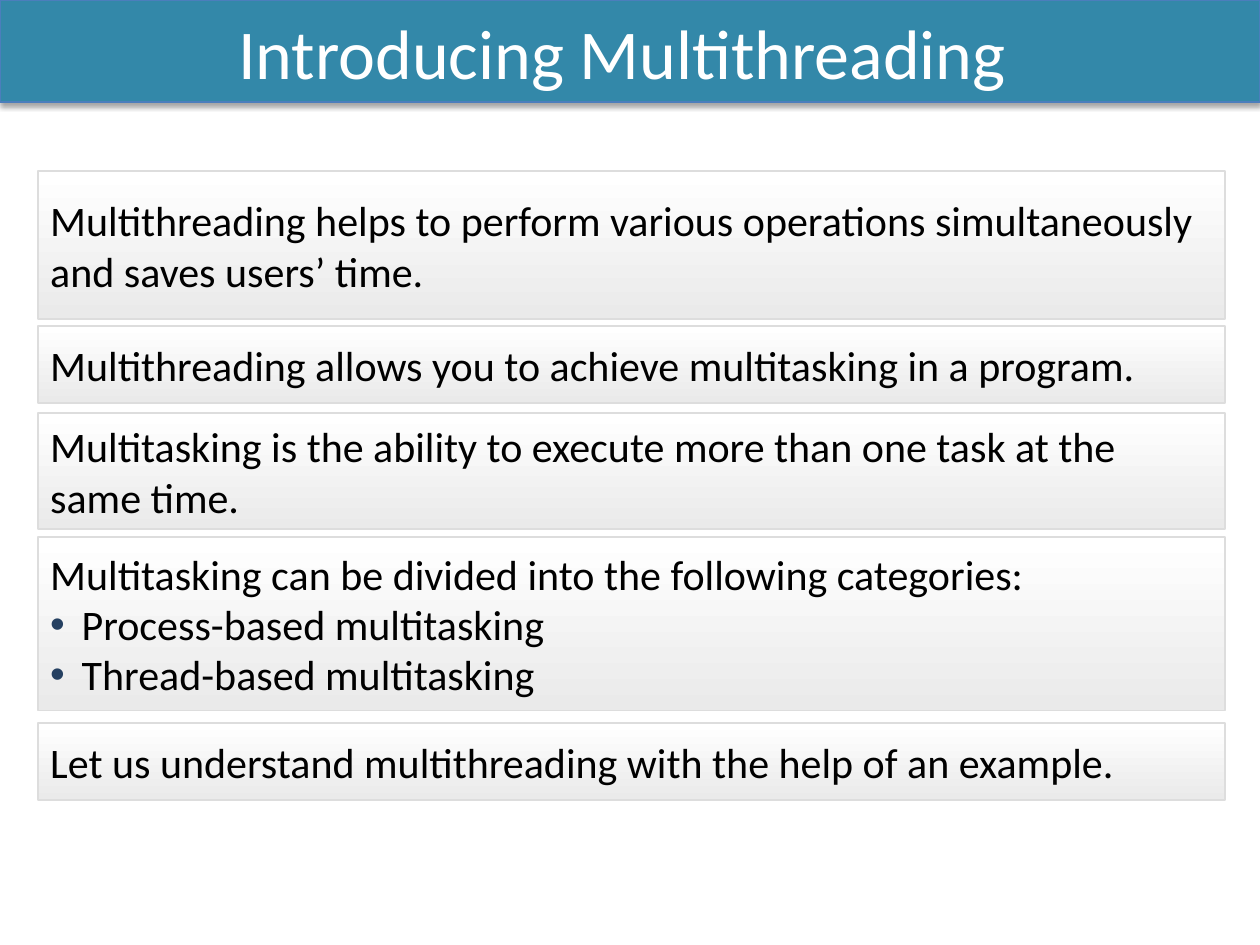
import dataclasses

import pptx
import pptx.dml.color
import pptx.enum.shapes
import pptx.enum.text
import pptx.oxml
import pptx.oxml.ns
import pptx.util
from pptx.util import Inches


@dataclasses.dataclass(frozen=True)
class Theme:
    font: str = "Calibri"
    title_size: int = 40
    body_size: int = 24
    title_fill: str = "3388A9"
    title_line: str = "4B7EBC"
    title_text: str = "FFFFFF"
    panel_top: str = "FFFFFF"
    panel_bottom: str = "EAEAEA"
    panel_line: str = "DDDDDD"
    body_text: str = "000000"
    bullet: str = "254061"
    shadow: str = "000000"


THEME = Theme()
PANEL_LEFT, PANEL_WIDTH = 0.3, 9.42
BULLET_INDENT = 0.25

# Top, height, lead sentence, bullet items
PANELS = [
    (1.36, 1.17, "Multithreading helps to perform various operations "
                 "simultaneously and saves users’ time.", []),
    (2.59, 0.61, "Multithreading allows you to achieve multitasking in a program.", []),
    (3.28, 0.92, "Multitasking is the ability to execute more than one task "
                 "at the same time.", []),
    (4.26, 1.38, "Multitasking can be divided into the following categories:",
     ["Process-based multitasking", "Thread-based multitasking"]),
    (5.74, 0.61, "Let us understand multithreading with the help of an example.", []),
]


def color(value):
    return pptx.dml.color.RGBColor.from_string(value)


def add_xml(parent, xml):
    namespace = pptx.oxml.ns.nsdecls("a")
    parent.append(pptx.oxml.parse_xml(xml.replace(" ", f" {namespace} ", 1)))


def add_box(slide, left, top, width, height, line_color, line_width):
    shape = slide.shapes.add_shape(
        pptx.enum.shapes.MSO_SHAPE.RECTANGLE,
        Inches(left), Inches(top), Inches(width), Inches(height))
    shape.shadow.inherit = False
    shape.line.color.rgb = color(line_color)
    shape.line.width = pptx.util.Pt(line_width)
    shape.text_frame.word_wrap = True
    shape.text_frame.vertical_anchor = pptx.enum.text.MSO_ANCHOR.MIDDLE
    return shape


def format_paragraph(paragraph, size, text_color, alignment):
    paragraph.alignment = alignment
    for run in paragraph.runs:
        run.font.name = THEME.font
        run.font.size = pptx.util.Pt(size)
        run.font.color.rgb = color(text_color)


def add_bullet(paragraph):
    properties = paragraph._p.get_or_add_pPr()
    properties.set("marL", str(Inches(BULLET_INDENT)))
    properties.set("indent", str(-Inches(BULLET_INDENT)))
    add_xml(properties, f'<a:buClr ><a:srgbClr val="{THEME.bullet}"/></a:buClr>')
    add_xml(properties, '<a:buFont typeface="Arial"/>')
    add_xml(properties, '<a:buChar char="•"/>')


def add_shadow(shape, blur, distance, opacity):
    effects = shape._element.spPr.find(pptx.oxml.ns.qn("a:effectLst"))
    add_xml(effects,
            f'<a:outerShdw blurRad="{pptx.util.Pt(blur)}" '
            f'dist="{pptx.util.Pt(distance)}" dir="5400000" rotWithShape="0">'
            f'<a:srgbClr val="{THEME.shadow}"><a:alpha val="{opacity * 1000}"/>'
            '</a:srgbClr></a:outerShdw>')


def add_title_bar(slide, text):
    bar = add_box(slide, 0, 0, 10, 0.81, THEME.title_line, 0.75)
    bar.fill.solid()
    bar.fill.fore_color.rgb = color(THEME.title_fill)
    add_shadow(bar, 3.1, 1.8, 35)
    bar.text_frame.text = text
    format_paragraph(bar.text_frame.paragraphs[0], THEME.title_size,
                     THEME.title_text, pptx.enum.text.PP_ALIGN.CENTER)


def add_panel(slide, top, height, sentence, items):
    panel = add_box(slide, PANEL_LEFT, top, PANEL_WIDTH, height, THEME.panel_line, 1)
    panel.fill.gradient()
    panel.fill.gradient_angle = 270  # counter-clockwise: runs top to bottom
    for stop, value in zip(panel.fill.gradient_stops,
                           (THEME.panel_top, THEME.panel_bottom)):
        stop.color.rgb = color(value)
    panel.text_frame.text = "\n".join([sentence, *items])
    for index, paragraph in enumerate(panel.text_frame.paragraphs):
        if index > 0:
            add_bullet(paragraph)
        format_paragraph(paragraph, THEME.body_size, THEME.body_text,
                         pptx.enum.text.PP_ALIGN.LEFT)


def main():
    presentation = pptx.Presentation()
    presentation.slide_width = Inches(10)
    presentation.slide_height = Inches(7.5)
    slide = presentation.slides.add_slide(presentation.slide_layouts[6])

    # Heading
    add_title_bar(slide, "Introducing Multithreading ")

    # Stacked text panels
    for panel in PANELS:
        add_panel(slide, *panel)

    presentation.save("out.pptx")


if __name__ == "__main__":
    main()
